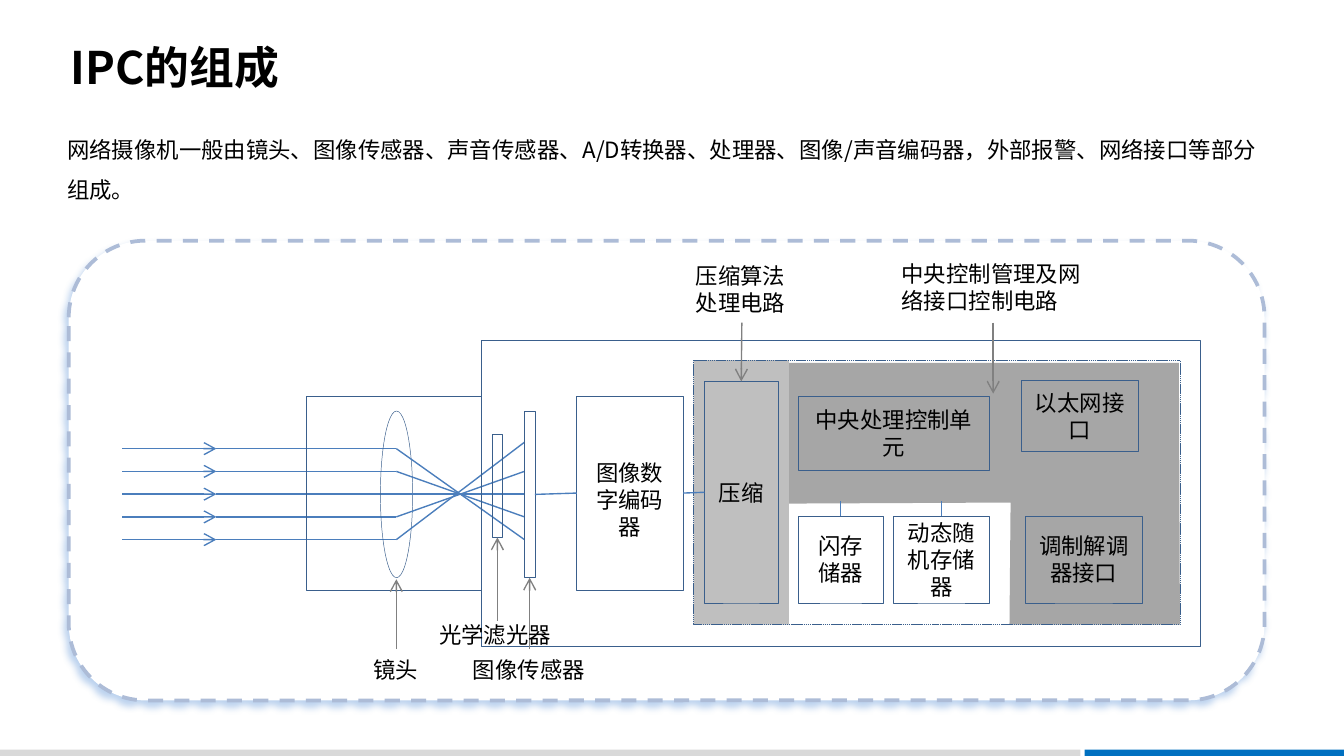
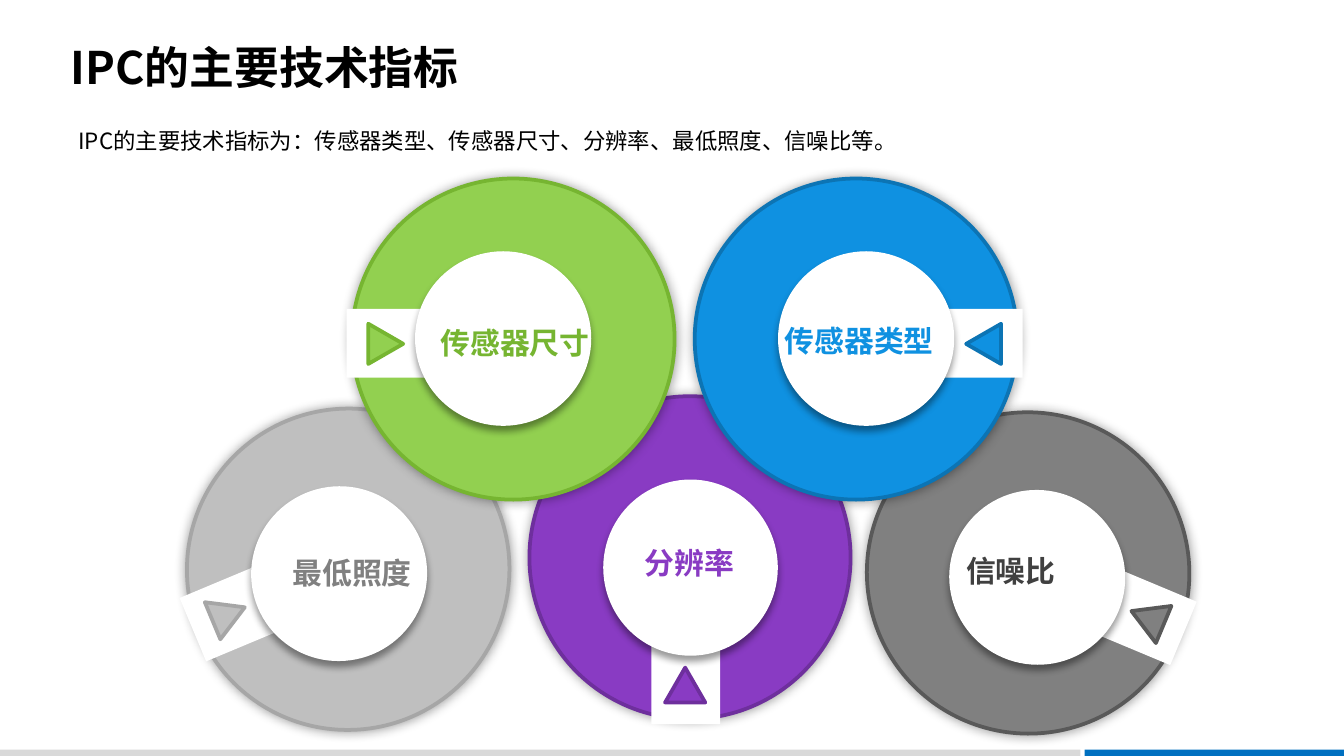
import math
from dataclasses import dataclass

from lxml import etree
from pptx import Presentation, util as u
from pptx.dml.color import RGBColor
from pptx.enum import dml, shapes, text
from pptx.oxml.ns import qn

SHAPE = shapes.MSO_SHAPE
TOP, LEFT, BOTTOM, RIGHT = range(4)


@dataclass(frozen=True)
class Theme:
    cjk: str = "Noto Sans CJK SC"
    label_font: str = "Calibri"
    ring_font: str = "Lato"
    title_size: int = 24
    ring_size: int = 16
    text_size: int = 12
    black: str = "000000"
    white: str = "FFFFFF"
    footer_gray: str = "D9D9D9"
    footer_blue: str = "0070C0"
    frame_line: str = "ADBCD7"
    frame_shadow: str = "558ED5"
    control_gray: str = "A6A6A6"
    compression_gray: str = "BFBFBF"
    outline: str = "3A5F8C"
    ray: str = "4B7EBC"
    pointer: str = "808080"
    # fill, line and label colours of each ring
    dark: tuple = ("808080", "595959", "404040")
    light: tuple = ("BFBFBF", "A6A6A6", "808080")
    purple: tuple = ("893BC3", "6E2F9D", "893BC3")
    green: tuple = ("92D050", "76B531", "76B531")
    blue: tuple = ("0F91E1", "0C74B4", "0F91E1")


THEME = Theme()


class Deck:
    """Holds the theme and the current slide; all lengths are centimetres."""

    def __init__(self, theme):
        self.theme = theme
        self.presentation = Presentation()
        self.presentation.slide_width = u.Cm(25.4)
        self.presentation.slide_height = u.Cm(14.29)
        self.layout = self.presentation.slide_layouts[1]
        self.slide = None

    def new_slide(self, title, body, body_box, line_spacing=None):
        first = self.slide is None
        self.slide = self.presentation.slides.add_slide(self.layout)
        if first:
            self.footer()
        heading, content = self.slide.placeholders
        self.place(heading, (1.09, 0.74, 17.81, 1.02))
        self.set_text(heading, title, size=self.theme.title_size, bold=True,
                      margins=(0.25, 0), anchor=text.MSO_ANCHOR.MIDDLE)
        self.place(content, body_box)
        properties = content.text_frame.paragraphs[0]._p.get_or_add_pPr()
        properties.set("marL", "0")
        properties.set("indent", "0")
        etree.SubElement(properties, qn("a:buNone"))
        self.set_text(content, body, margins=(0.18, 0.1), line_spacing=line_spacing)

    def footer(self):
        """Put the two bottom bands on the layout that every slide uses."""
        bands = ((0, 20.42, self.theme.footer_gray), (20.5, 4.9, self.theme.footer_blue))
        for number, (left, width, color) in enumerate(bands):
            band = self.shape(SHAPE.RECTANGLE, (left, 14.17, width, 0.12), fill=color)
            band.element.nvSpPr.cNvPr.set("id", str(20 + number))
            self.layout.shapes.element.insert(2 + number, band.element)

    @staticmethod
    def place(shape, box):
        shape.left, shape.top, shape.width, shape.height = map(u.Cm, box)

    def set_text(self, shape, words, font=None, size=None, color=None, bold=False,
                 align=text.PP_ALIGN.LEFT, anchor=None, margins=None,
                 line_spacing=None, wrap=True, grow=True):
        frame = shape.text_frame
        frame.word_wrap = wrap
        if grow:
            frame.auto_size = text.MSO_AUTO_SIZE.SHAPE_TO_FIT_TEXT
        if anchor is not None:
            frame.vertical_anchor = anchor
        if margins:
            frame.margin_left = frame.margin_right = u.Cm(margins[0])
            frame.margin_top = frame.margin_bottom = u.Cm(margins[1])
        paragraph = frame.paragraphs[0]
        paragraph.add_run().text = words
        paragraph.alignment = align
        if line_spacing:
            paragraph.line_spacing = line_spacing
        paragraph.font.size = u.Pt(size or self.theme.text_size)
        paragraph.font.bold = bold
        paragraph.font.color.rgb = RGBColor.from_string(color or self.theme.black)
        paragraph.font.name = font or self.theme.cjk
        defaults = paragraph._p.pPr.find(qn("a:defRPr"))
        etree.SubElement(defaults, qn("a:ea"), typeface=self.theme.cjk)

    def style(self, shape, fill, line, width, dash, shadow):
        if fill:
            shape.fill.solid()
            shape.fill.fore_color.rgb = RGBColor.from_string(fill)
        else:
            shape.fill.background()
        if line:
            shape.line.color.rgb = RGBColor.from_string(line)
            shape.line.width = u.Pt(width)
            if dash is not None:
                shape.line.dash_style = dash
        else:
            shape.line.fill.background()
        shape.shadow.inherit = False
        if shadow:
            self.cast_shadow(shape, *shadow)

    @staticmethod
    def cast_shadow(shape, color, blur, distance, angle):
        effects = shape.element.spPr.find(qn("a:effectLst"))
        outer = etree.SubElement(
            effects, qn("a:outerShdw"), blurRad=str(u.Pt(blur)),
            dist=str(u.Pt(distance)), dir=str(angle * 60000), rotWithShape="0")
        tint = etree.SubElement(outer, qn("a:srgbClr"), val=color)
        etree.SubElement(tint, qn("a:alpha"), val="40000")

    def shape(self, kind, box, fill=None, line=None, width=0.25, dash=None,
              shadow=None, rotation=0):
        shape = self.slide.shapes.add_shape(kind, *map(u.Cm, box))
        shape.rotation = rotation
        self.style(shape, fill, line, width, dash, shadow)
        return shape

    def polygon(self, points, fill):
        corners = [(u.Cm(x), u.Cm(y)) for x, y in points]
        builder = self.slide.shapes.build_freeform(*corners[0])
        builder.add_line_segments(corners[1:], close=True)
        self.style(builder.convert_to_shape(), fill, None, 0, None, None)

    def block(self, box, words=None):
        """Add an outlined rectangle, with centred text if given."""
        block = self.shape(SHAPE.RECTANGLE, box, line=self.theme.outline)
        if words:
            self.set_text(block, words, align=text.PP_ALIGN.CENTER,
                          anchor=text.MSO_ANCHOR.MIDDLE, grow=False)
        return block

    def label(self, box, words, font=None, **options):
        label = self.slide.shapes.add_textbox(*map(u.Cm, box))
        self.set_text(label, words, font=font or self.theme.label_font, **options)

    def line(self, start, end, color=None, arrow=False, begin=None, finish=None):
        """Draw a line; begin and finish are (shape, side) pairs to join."""
        connector = self.slide.shapes.add_connector(
            shapes.MSO_CONNECTOR.STRAIGHT, *map(u.Cm, (*start, *end)))
        connector.line.color.rgb = RGBColor.from_string(color or self.theme.ray)
        connector.line.width = u.Pt(0.75)
        properties = connector.element.spPr
        if arrow:
            etree.SubElement(properties.find(qn("a:ln")), qn("a:tailEnd"), type="arrow")
        etree.SubElement(properties, qn("a:effectLst"))
        if begin:
            connector.begin_connect(*begin)
        if finish:
            connector.end_connect(*finish)

    def pointer(self, start, end, finish=None):
        self.line(start, end, self.theme.pointer, arrow=True, finish=finish)

    def ring(self, center, colors, angle=0, mirrored=False):
        """Draw a disc, its tab, hub and triangle, turned about the disc's centre."""
        fill, edge, _ = colors
        black, white = self.theme.black, self.theme.white
        side = -1 if mirrored else 1
        turn = math.radians(angle)
        parts = (
            (SHAPE.OVAL, 0, 0, 6.1, 6.07, 0, fill, edge, (black, 6, 0, 0)),
            (SHAPE.RECTANGLE, -2.31, 0.08, 1.68, 1.3, 0, white, None, None),
            (SHAPE.OVAL, -0.19, -0.01, 3.33, 3.3, 0, white, None, (black, 4, 3, 90)),
            (SHAPE.ISOSCELES_TRIANGLE, -2.41, 0.09, 0.76, 0.66, 90 * side, fill, edge, None),
        )
        for kind, dx, dy, width, height, tilt, color, line, shadow in parts:
            dx *= side
            x = center[0] + dx * math.cos(turn) - dy * math.sin(turn)
            y = center[1] + dx * math.sin(turn) + dy * math.cos(turn)
            self.shape(kind, (x - width / 2, y - height / 2, width, height), color,
                       line, 2, shadow=shadow, rotation=(angle + tilt) % 360)


def draw_optics(deck):
    source_x, tip_x, lens_x, sensor_x = 2.31, 4.09, 7.49, 9.91
    ray_heights = [8.48 + 0.43 * row for row in range(5)]
    for y in ray_heights:
        deck.line((source_x, y), (tip_x, y), arrow=True)
        deck.line((tip_x, y), (lens_x, y))
    deck.shape(SHAPE.OVAL, (7.19, 7.77, 0.61, 3.15), line=deck.theme.outline)
    for y, image_y in zip(ray_heights, (10.2, 9.77, 9.34, 8.91, 8.36)):
        deck.line((lens_x, y), (sensor_x, image_y))
    optical_filter = deck.block((9.3, 8.2, 0.2, 1.96))
    sensor = deck.block((sensor_x, 7.77, 0.2, 3.15))
    deck.block((5.79, 7.49, 3.3, 3.66))
    return optical_filter, sensor


def composition_slide(deck):
    theme = deck.theme
    deck.new_slide(
        "IPC的组成",
        "网络摄像机一般由镜头、图像传感器、声音传感器、A/D转换器、处理器、"
        "图像/声音编码器，外部报警、网络接口等部分组成。",
        (1.09, 2.21, 22.99, 1.73), line_spacing=1.5)
    deck.shape(SHAPE.ROUNDED_RECTANGLE, (1.3, 4.55, 22.6, 8.69), theme.white,
               theme.frame_line, 2, dml.MSO_LINE.DASH, (theme.frame_shadow, 4, 3, 120))
    deck.polygon([(14.86, 6.86), (22.28, 6.86), (22.3, 11.81), (19.08, 11.81),
                  (19.1, 9.5), (14.86, 9.52)], theme.control_gray)
    deck.shape(SHAPE.RECTANGLE, (13.11, 6.81, 1.8, 5), theme.compression_gray)

    optical_filter, sensor = draw_optics(deck)
    encoder = deck.block((10.9, 7.49, 2.01, 3.66))
    deck.label((11, 8.56, 1.8, 1.8), "图像数字编码器", align=text.PP_ALIGN.CENTER)
    compressor = deck.block((13.31, 7.21, 1.4, 4.19), "压缩")
    deck.block((15.09, 7.49, 3.61, 1.4), "中央处理控制单元")
    for left, width, words in ((15.09, 1.6, "闪存储器"), (16.89, 1.8, "动态随机存储器")):
        memory = deck.block((left, 9.75, width, 1.65), words)
        middle = left + width / 2
        deck.line((middle, 9.47), (middle, 9.75), finish=(memory, TOP))
    deck.block((19.3, 7.19, 2.21, 1.35), "以太网接口")
    deck.block((19.38, 9.75, 2.21, 1.65), "调制解调器接口")
    deck.block((9.09, 6.43, 13.59, 5.79))
    deck.shape(SHAPE.RECTANGLE, (13.11, 6.81, 9.19, 5), line=theme.outline,
               dash=dml.MSO_LINE.SQUARE_DOT)
    deck.line((10.11, 9.33), (10.9, 9.33), begin=(sensor, RIGHT), finish=(encoder, LEFT))
    deck.line((12.91, 9.33), (13.31, 9.33), begin=(encoder, RIGHT),
              finish=(compressor, LEFT))

    deck.pointer((7.49, 12.27), (7.49, 10.95))
    deck.pointer((9.4, 11.73), (9.4, 10.16), (optical_filter, BOTTOM))
    deck.pointer((10.01, 12.27), (10.01, 10.92), (sensor, BOTTOM))
    deck.pointer((14.02, 6.1), (14.01, 7.21), (compressor, TOP))
    deck.pointer((18.77, 6.1), (18.77, 7.44))
    deck.label((6.81, 12.27, 1.37, 0.76), "镜头", wrap=False)
    deck.label((8.05, 11.61, 2.64, 0.76), "光学滤光器", wrap=False)
    deck.label((8.69, 12.27, 2.64, 0.76), "图像传感器", wrap=False)
    deck.label((12.9, 4.83, 2.24, 1.27), "压缩算法处理电路")
    deck.label((16.79, 4.8, 3.96, 1.27), "中央控制管理及网络接口控制电路")


def indicators_slide(deck):
    theme = deck.theme
    deck.new_slide(
        "IPC的主要技术指标",
        "IPC的主要技术指标为：传感器类型、传感器尺寸、分辨率、最低照度、信噪比等。",
        (1.3, 2.31, 21.59, 0.71))
    deck.ring((19.43, 10.83), theme.dark, angle=202.7)
    deck.ring((6.58, 10.76), theme.light, angle=157.3, mirrored=True)
    deck.ring((13.04, 10.54), theme.purple, angle=90, mirrored=True)
    deck.ring((9.7, 6.41), theme.green)
    deck.ring((16.18, 6.41), theme.blue, mirrored=True)
    left, center = text.PP_ALIGN.LEFT, text.PP_ALIGN.CENTER
    labels = (
        ("传感器尺寸", (8.08, 6.15, 3.48, 0.81), theme.green, left),
        ("传感器类型", (14.5, 6.1, 3.48, 0.91), theme.blue, center),
        ("最低照度", (5.28, 10.49, 3.48, 0.81), theme.light, left),
        ("分辨率", (11.94, 10.31, 2.21, 0.81), theme.purple, left),
        ("信噪比", (18.01, 10.46, 2.51, 0.81), theme.dark, left),
    )
    for words, box, colors, align in labels:
        deck.label(box, words, theme.ring_font, size=theme.ring_size, color=colors[2],
                   bold=True, align=align, line_spacing=0.8)


def main():
    deck = Deck(THEME)
    composition_slide(deck)
    indicators_slide(deck)
    deck.presentation.save("out.pptx")


if __name__ == "__main__":
    main()
